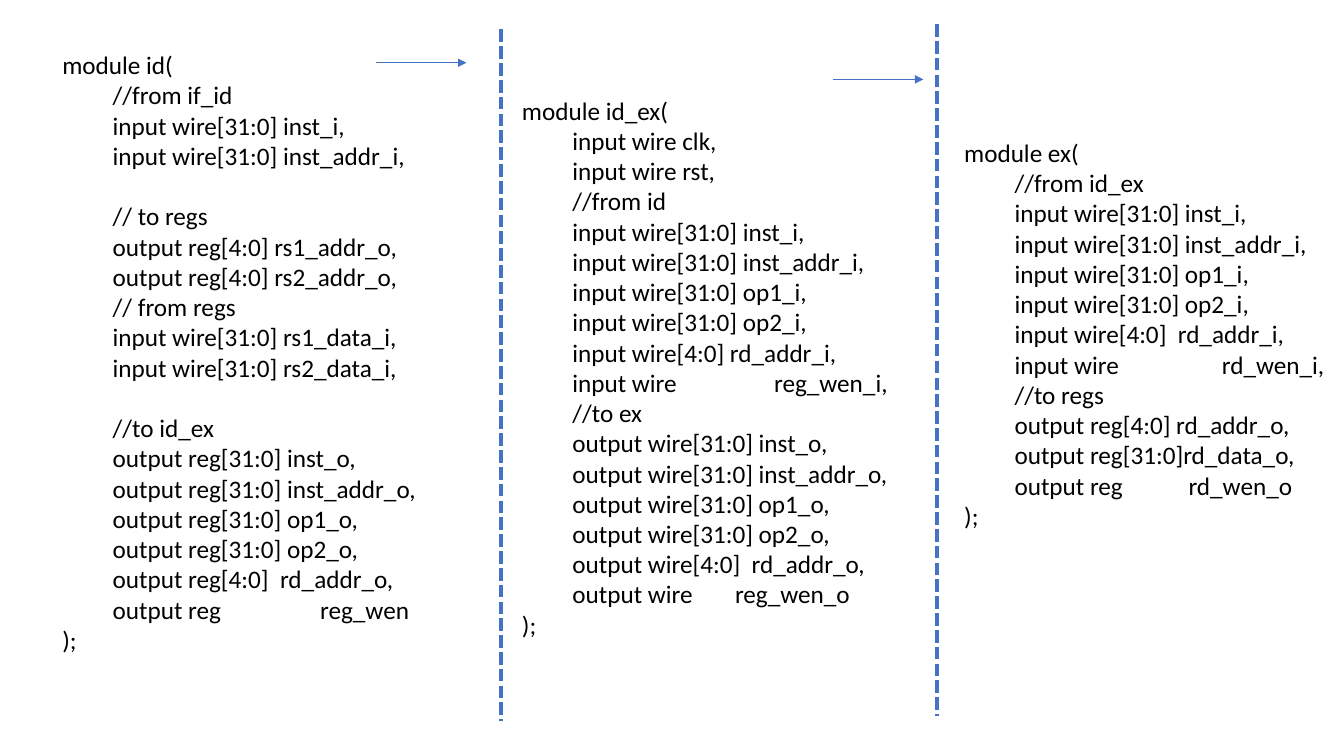
"""Build a slide comparing the port lists of three pipeline modules."""
from typing import NamedTuple

from lxml.etree import SubElement
from pptx import Presentation
from pptx.dml.color import RGBColor as RGB
from pptx.enum.dml import MSO_LINE as Dash
from pptx.enum.shapes import MSO_CONNECTOR as Link
from pptx.enum.text import MSO_AUTO_SIZE as Fit
from pptx.oxml.ns import qn
from pptx.slide import Slide
from pptx.util import Inches, Pt

WIDE, HIGH = Inches(13.33), Inches(7.5)
BLUE, BLACK = "4472C4", "000000"
ROW, PAD = 4.04, 1.33


class Code(NamedTuple):
    """A module's port list, placed in percent of the slide."""
    x: float
    y: float
    name: str
    ports: str


class Rule(NamedTuple):
    """A straight line, placed in percent of the slide."""
    x: float
    y: float
    dx: float
    dy: float
    width: float
    arrow: bool


CODES = [
    Code(71, 17.5, "ex", """//from id_ex
input wire[31:0] inst_i,
input wire[31:0] inst_addr_i,
input wire[31:0] op1_i,
input wire[31:0] op2_i,
input wire[4:0]  rd_addr_i,
input wire \t\t rd_wen_i,
//to regs
output reg[4:0] rd_addr_o,
output reg[31:0]rd_data_o,
output reg \t    rd_wen_o"""),
    Code(38.1, 11.9, "id_ex", """input wire clk,
input wire rst,
//from id
input wire[31:0] inst_i,
input wire[31:0] inst_addr_i,
input wire[31:0] op1_i,
input wire[31:0] op2_i,
input wire[4:0] rd_addr_i,
input wire \t\treg_wen_i,
//to ex
output wire[31:0] inst_o,
output wire[31:0] inst_addr_o,
output wire[31:0] op1_o,
output wire[31:0] op2_o,
output wire[4:0]  rd_addr_o,
output wire \t  reg_wen_o"""),
    Code(3.9, 5.9, "id", """//from if_id
input wire[31:0] inst_i,
input wire[31:0] inst_addr_i,

// to regs
output reg[4:0] rs1_addr_o,
output reg[4:0] rs2_addr_o,
// from regs
input wire[31:0] rs1_data_i,
input wire[31:0] rs2_data_i,

//to id_ex
output reg[31:0] inst_o,
output reg[31:0] inst_addr_o,
output reg[31:0] op1_o,
output reg[31:0] op2_o,
output reg[4:0]  rd_addr_o,
output reg \t\t reg_wen"""),
]
RULES = [
    Rule(37.3, 3.9, 0, 91.5, 3, False),
    Rule(69.7, 3.2, 0, 91.5, 3, False),
    Rule(28, 8.3, 6.7, 0, 0.5, True),
    Rule(62, 10.5, 6.7, 0, 0.5, True),
]


def tint(code: str) -> RGB:
    """Turn a hex string into a colour."""
    return RGB.from_string(code)


def across(share: float) -> int:
    """Turn a percentage of the slide's width into a length."""
    return round(WIDE * share / 100)


def down(share: float) -> int:
    """Turn a percentage of the slide's height into a length."""
    return round(HIGH * share / 100)


def add_code(slide: Slide, code: Code) -> None:
    """Write one module with its ports indented by a tab."""
    ports = [f"\t{port}" for port in code.ports.split("\n")]
    lines = [f"module {code.name}(", *ports, ");"]
    box = slide.shapes.add_textbox(across(code.x), down(code.y), across(50),
                                   down(len(lines) * ROW + PAD))
    frame = box.text_frame
    frame.word_wrap = True
    frame.auto_size = Fit.SHAPE_TO_FIT_TEXT
    frame.text = "\n".join(lines)
    for para in frame.paragraphs:
        para.font.name = "Calibri"
        para.font.size = Pt(18)
        para.font.color.rgb = tint(BLACK)


def add_rule(slide: Slide, rule: Rule) -> None:
    """Draw a dashed divider or a thin arrow."""
    line = slide.shapes.add_connector(
        Link.STRAIGHT, across(rule.x), down(rule.y),
        across(rule.x + rule.dx), down(rule.y + rule.dy))
    line.line.color.rgb = tint(BLUE)
    line.line.width = Pt(rule.width)
    if rule.arrow:
        SubElement(line.line._get_or_add_ln(), qn("a:tailEnd"), type="triangle")
    else:
        line.line.dash_style = Dash.SQUARE_DOT
    SubElement(line._element.spPr, qn("a:effectLst"))


def main() -> None:
    """Build and save the slide."""
    deck = Presentation()
    deck.slide_width, deck.slide_height = WIDE, HIGH
    slide = deck.slides.add_slide(deck.slide_layouts[6])
    for code in CODES:
        add_code(slide, code)
    for rule in RULES:
        add_rule(slide, rule)
    deck.save("out.pptx")


if __name__ == "__main__":
    main()
